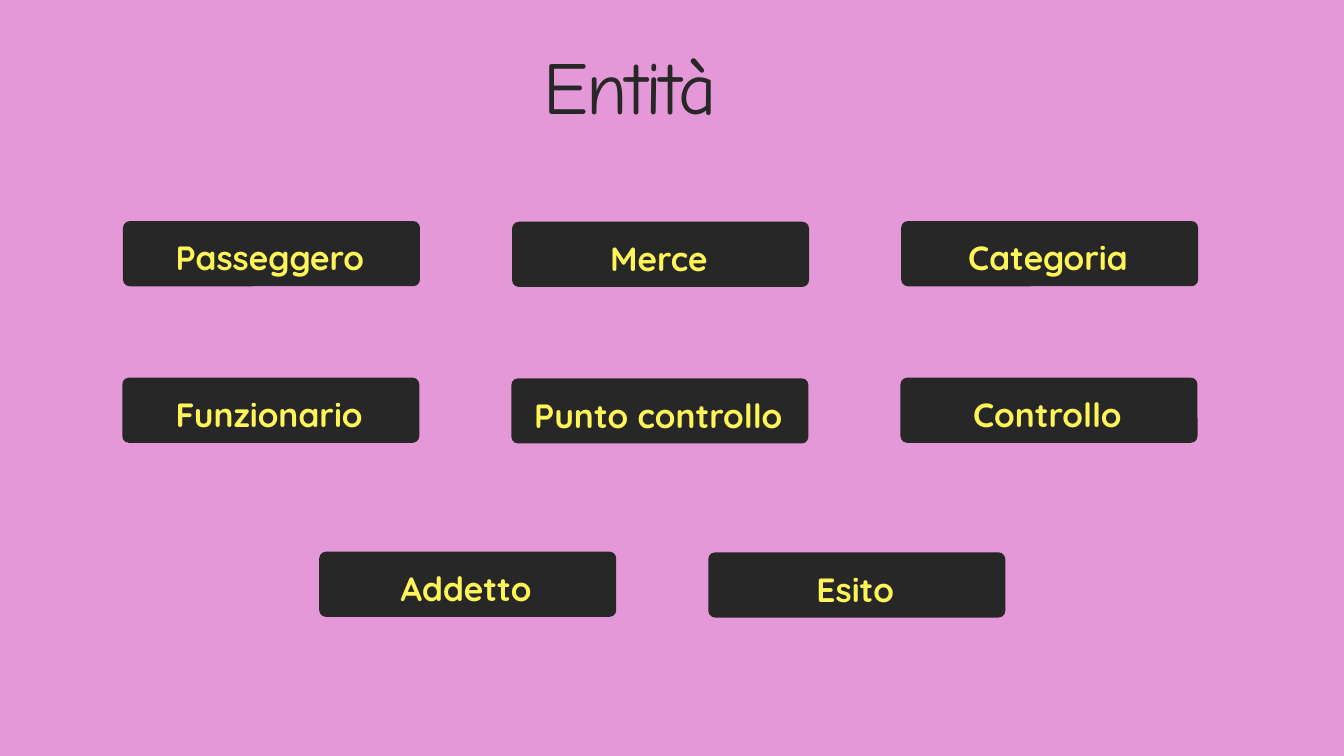
from pptx import Presentation
from pptx.dml.color import RGBColor
from pptx.enum import shapes, text
from pptx.util import Inches, Pt

COLORS = {"background": "E598D8", "dark": "272727", "yellow": "FFF559"}

CARD_WIDTH, CARD_HEIGHT, CORNER = 4.42, 0.97, 0.1
COLUMN_STEP = 5.79
# Left edge, top edge and entity names of each row
ROWS = [
    (1.83, 3.29, ["Passeggero", "Merce", "Categoria"]),
    (1.82, 5.62, ["Funzionario", "Punto controllo", "Controllo"]),
    (4.75, 8.21, ["Addetto", "Esito"]),
]


def color(name):
    return RGBColor.from_string(COLORS[name])


def write_text(box, words, font_name, size, color_name, spacing, align, bold=False):
    frame = box.text_frame
    frame.word_wrap = True
    frame.auto_size = text.MSO_AUTO_SIZE.NONE
    frame.vertical_anchor = text.MSO_ANCHOR.TOP
    frame.margin_left = frame.margin_right = 0
    frame.margin_top = frame.margin_bottom = 0
    frame.text = words
    para = frame.paragraphs[0]
    para.alignment = align
    para.line_spacing = Pt(spacing)
    para.font.name = font_name
    para.font.size = Pt(size)
    para.font.bold = bold
    para.font.color.rgb = color(color_name)
    return para


def add_title(page, words):
    title = page.shapes.title
    title.left, title.top = Inches(8.09), Inches(0.59)
    title.width, title.height = Inches(3.82), Inches(1.35)
    para = write_text(title, words, "Comic Neue", 80, "dark", 96, text.PP_ALIGN.LEFT)
    # Tighten the letters by two points
    para.runs[0].font._element.set("spc", "-200")


def add_entity(page, name, left, top):
    group = page.shapes.add_group_shape()
    card = group.shapes.add_shape(
        shapes.MSO_SHAPE.ROUNDED_RECTANGLE,
        Inches(left), Inches(top), Inches(CARD_WIDTH), Inches(CARD_HEIGHT))
    card.adjustments[0] = CORNER / CARD_HEIGHT
    card.shadow.inherit = False
    card.fill.solid()
    card.fill.fore_color.rgb = color("dark")
    card.line.fill.background()

    label = group.shapes.add_textbox(
        Inches(left + 0.3), Inches(top + 0.19), Inches(3.77), Inches(0.62))
    write_text(label, name, "Quicksand", 36, "yellow", 46.8,
               text.PP_ALIGN.CENTER, bold=True)


def main():
    deck = Presentation()
    deck.slide_width, deck.slide_height = Inches(20), Inches(11.25)
    page = deck.slides.add_slide(deck.slide_layouts.get_by_name("Title Only"))
    page.background.fill.solid()
    page.background.fill.fore_color.rgb = color("background")

    add_title(page, "Entità")

    # Entity cards; the second column sits slightly lower
    for left, top, names in ROWS:
        for column, name in enumerate(names):
            drop = 0.01 if column == 1 else 0
            add_entity(page, name, left + column * COLUMN_STEP, top + drop)

    deck.save("out.pptx")


if __name__ == "__main__":
    main()
